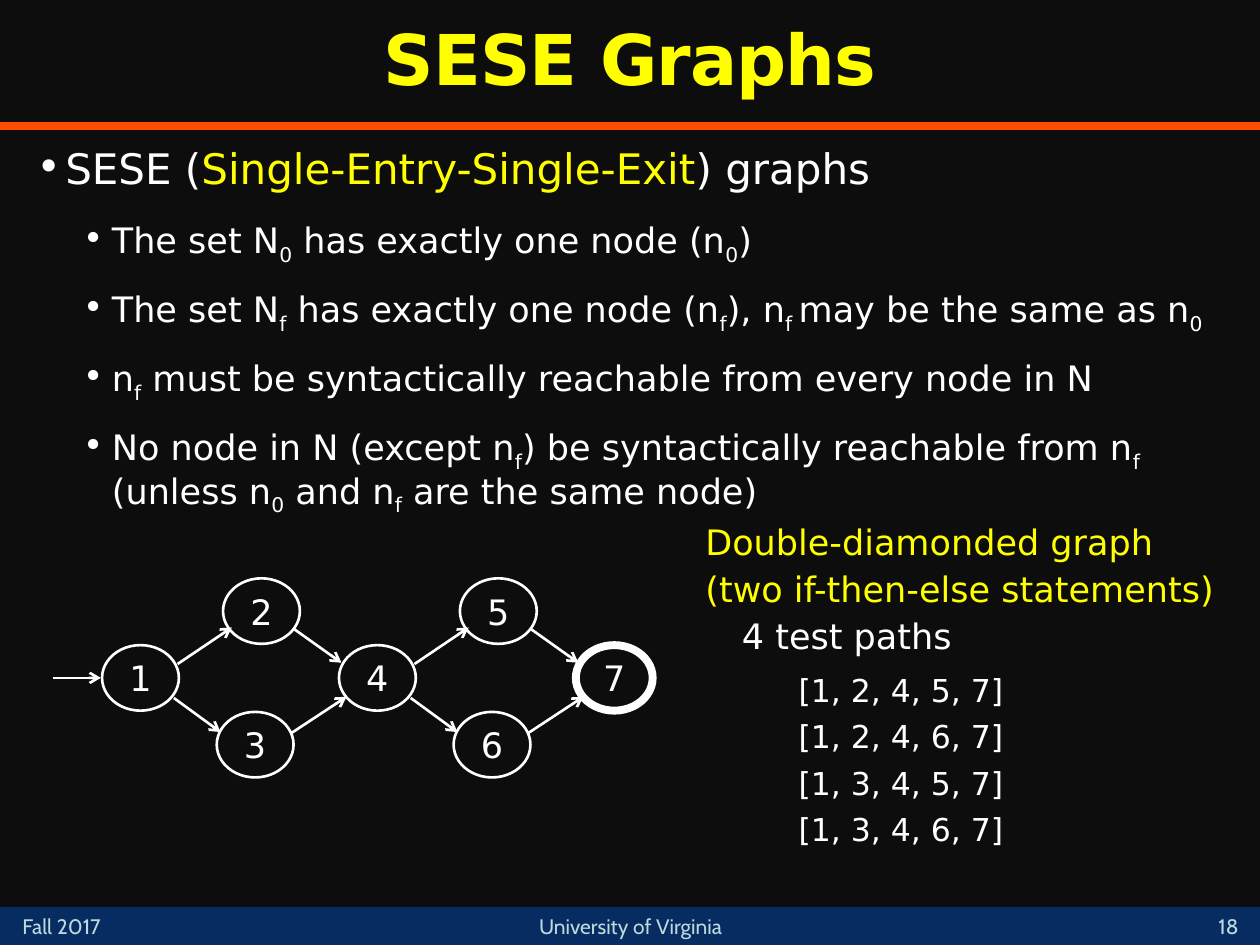
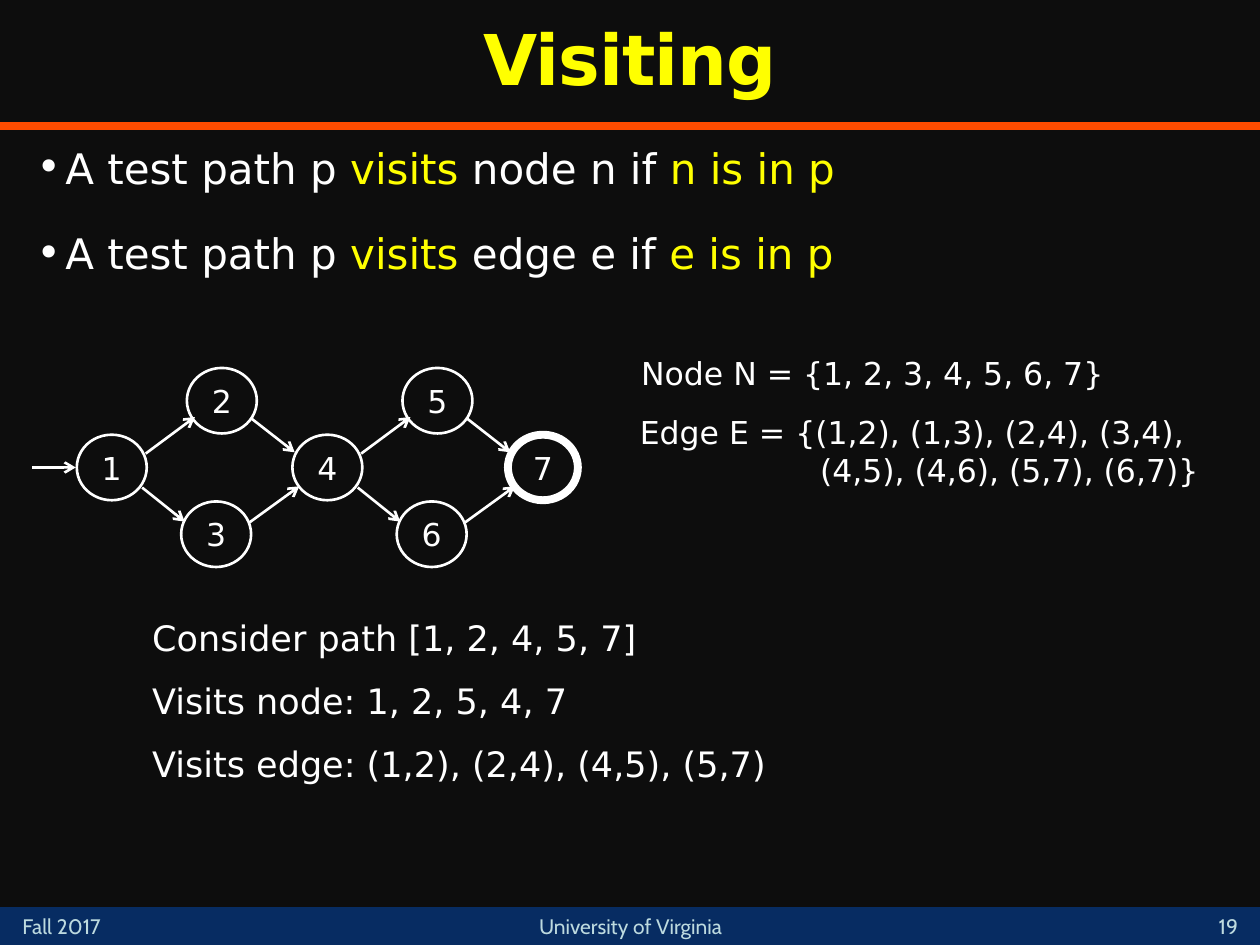
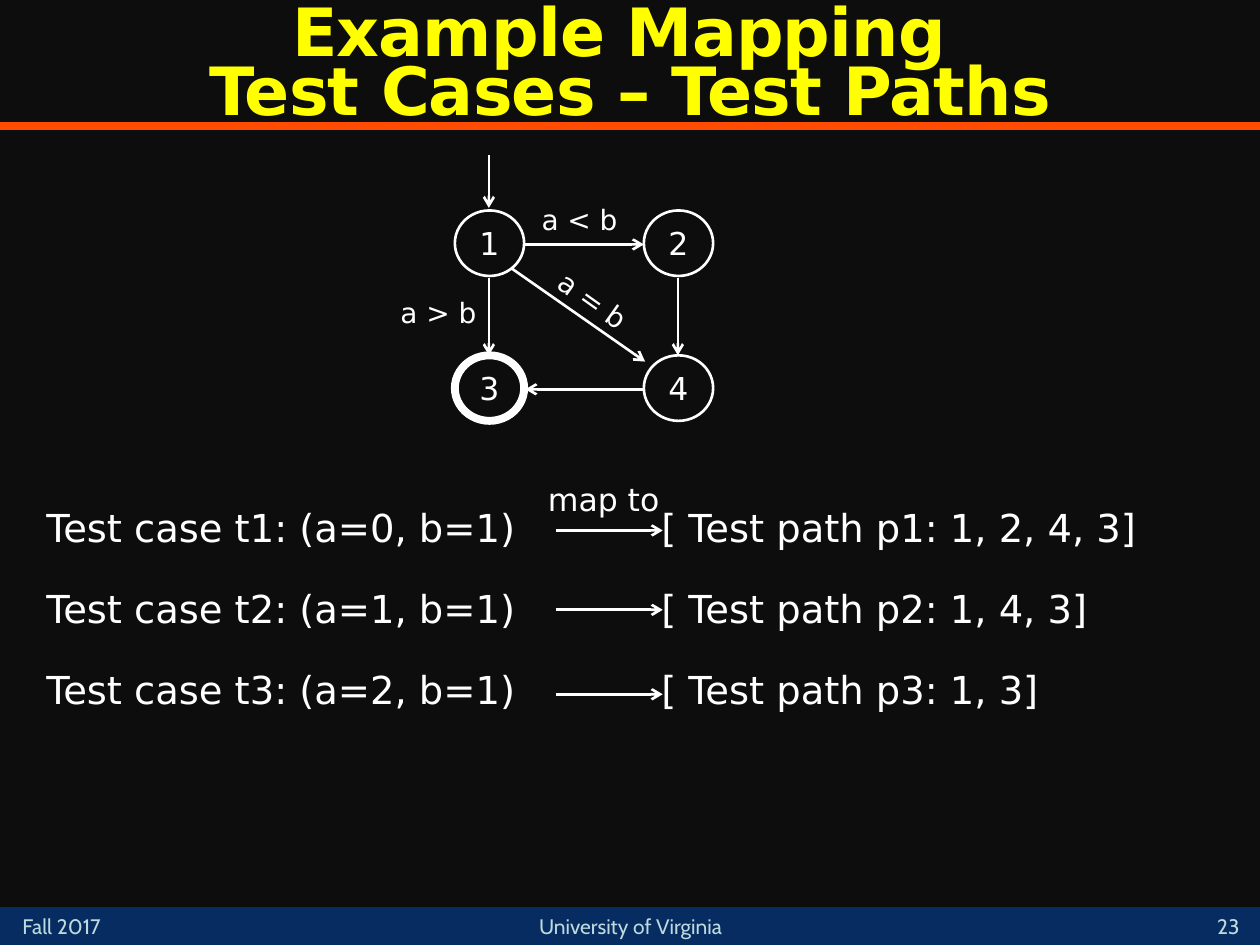
from dataclasses import dataclass

import pptx
import pptx.dml.color
import pptx.enum.shapes
import pptx.enum.text
import pptx.oxml
import pptx.oxml.ns
import pptx.util

Inches = pptx.util.Inches
Pt = pptx.util.Pt
Align = pptx.enum.text.PP_ALIGN
Anchor = pptx.enum.text.MSO_ANCHOR


@dataclass(frozen=True)
class Theme:
    background: str = "0D0D0D"
    band: str = "072C62"
    rule: str = "FF4C00"
    accent: str = "FFFF00"
    text: str = "FFFFFF"
    footer: str = "BDDADF"
    font: str = "DejaVu Sans"
    footer_font: str = "Cabin"
    title_size: float = 40
    long_title_size: float = 38
    body_size: float = 24
    case_size: float = 22
    sub_size: float = 20
    detail_size: float = 18
    label_size: float = 16
    footer_size: float = 12
    thin: float = 1.5
    thick: float = 4.5


THEME = Theme()


@dataclass(frozen=True)
class ParagraphStyle:
    """Sizes and spacing are points, indents are inches."""
    size: float
    left: float = 0
    hanging: float = 0
    before: float = 0
    after: float = 0
    spacing: float = 1
    level: int = 0
    bullet: bool = False
    color: str = THEME.text


BULLET = ParagraphStyle(THEME.body_size, 0.25, 0.23, before=20, bullet=True)
SUB_BULLET = ParagraphStyle(THEME.sub_size, 0.62, 0.23, before=15,
                            spacing=0.9, level=1, bullet=True)
CAPTION = ParagraphStyle(THEME.sub_size, 0.02, after=3, color=THEME.accent)
PATH_COUNT = ParagraphStyle(THEME.sub_size, 0.31, after=3)
PATH = ParagraphStyle(THEME.detail_size, 0.76, before=5, level=1)
SET = ParagraphStyle(THEME.detail_size, 0.08, before=12, level=1)
LONG_SET = ParagraphStyle(THEME.detail_size, 1.5, 1.43, before=12, level=1)
VISIT = ParagraphStyle(THEME.sub_size, 0.08, before=12, level=1)
CASE = ParagraphStyle(THEME.case_size, 0.02, before=20)


def rgb(value):
    return pptx.dml.color.RGBColor.from_string(value)


def drawing_element(tag, **attributes):
    element = pptx.oxml.parse_xml(f"<a:{tag} {pptx.oxml.ns.nsdecls('a')}/>")
    for name, value in attributes.items():
        element.set(name, value)
    return element


class Deck:
    def __init__(self, theme):
        self.theme = theme
        self.presentation = pptx.Presentation()
        self.presentation.slide_width = Inches(10)
        self.presentation.slide_height = Inches(7.5)
        self.slide = None

    # Slide frame: background, rule, footer and title
    def new_slide(self, title, number, size=None, spacing=0.9, top=0):
        theme = self.theme
        self.slide = self.presentation.slides.add_slide(
            self.presentation.slide_layouts[6])
        fill = self.slide.background.fill
        fill.solid()
        fill.fore_color.rgb = rgb(theme.background)
        band = self.shape("RECTANGLE", 0, 7.2, 10, 0.3)
        band.fill.solid()
        band.fill.fore_color.rgb = rgb(theme.band)
        band.line.fill.background()
        self.line((0, 1), (10, 1), theme.rule, theme.thick, arrow=False)
        footers = (
            ("Fall 2017", 0.08, 7.2, 1.17, 0.3, Align.LEFT, Anchor.TOP),
            (str(number), 9.5, 7.17, 0.5, 0.33, Align.CENTER, Anchor.BOTTOM),
            ("University of Virginia", 3.67, 7.2, 2.67, 0.3,
             Align.CENTER, Anchor.TOP))
        for text, left, top_edge, width, height, align, anchor in footers:
            frame = self.text_box(left, top_edge, width, height).text_frame
            frame.vertical_anchor = anchor
            self.plain_text(frame, text, theme.footer_size, align,
                            theme.footer, theme.footer_font)
        frame = self.text_box(0, top, 10, 1).text_frame
        frame.vertical_anchor = Anchor.MIDDLE
        self.plain_text(frame, title, size or theme.title_size,
                        Align.CENTER, theme.accent)
        paragraph = frame.paragraphs[0]
        paragraph.line_spacing = spacing
        for run in paragraph.runs:
            run.font.bold = True
            run.font._element.set("spc", "-50")

    # Basic elements
    def shape(self, kind, left, top, width, height):
        shape = self.slide.shapes.add_shape(
            getattr(pptx.enum.shapes.MSO_SHAPE, kind),
            Inches(left), Inches(top), Inches(width), Inches(height))
        shape.shadow.inherit = False
        return shape

    def line(self, start, end, color=None, weight=None, arrow=True):
        connector = self.slide.shapes.add_connector(
            pptx.enum.shapes.MSO_CONNECTOR.STRAIGHT,
            *(Inches(value) for value in (*start, *end)))
        connector.line.color.rgb = rgb(color or self.theme.text)
        connector.line.width = Pt(weight or self.theme.thin)
        properties = connector._element.spPr
        if arrow:
            outline = properties.find(pptx.oxml.ns.qn("a:ln"))
            outline.append(drawing_element("tailEnd", type="arrow"))
        properties.append(drawing_element("effectLst"))

    def text_box(self, left, top, width, height):
        box = self.slide.shapes.add_textbox(
            Inches(left), Inches(top), Inches(width), Inches(height))
        box.text_frame.word_wrap = True
        return box

    # Text
    def format_run(self, run, size, color, font=None):
        run.font.size = Pt(size)
        run.font.name = font or self.theme.font
        run.font.color.rgb = rgb(color)

    def plain_text(self, frame, text, size, align, color=None, font=None):
        frame.text = text
        paragraph = frame.paragraphs[0]
        paragraph.alignment = align
        for run in paragraph.runs:
            self.format_run(run, size, color or self.theme.text, font)

    def rich_text(self, paragraph, text, style):
        """Text between * takes the accent colour, between ~ is subscript."""
        for i, part in enumerate(text.split("*")):
            color = self.theme.accent if i % 2 else style.color
            for j, piece in enumerate(part.split("~")):
                if piece:
                    run = paragraph.add_run()
                    run.text = piece
                    self.format_run(run, style.size, color)
                    if j % 2:
                        run.font._element.set("baseline", "-25000")

    def paragraphs(self, left, top, width, height, items):
        frame = self.text_box(left, top, width, height).text_frame
        for index, (style, text) in enumerate(items):
            paragraph = frame.add_paragraph() if index else frame.paragraphs[0]
            self.rich_text(paragraph, text, style)
            paragraph.level = style.level
            paragraph.line_spacing = style.spacing
            paragraph.space_before = Pt(style.before)
            paragraph.space_after = Pt(style.after)
            properties = paragraph._p.get_or_add_pPr()
            properties.set("marL", str(Inches(style.left)))
            properties.set("indent", str(-Inches(style.hanging)))
            if style.bullet:
                properties.append(
                    drawing_element("buFont", typeface=self.theme.font))
                properties.append(drawing_element("buChar", char="\u2022"))

    def label(self, text, left, top, width, height, size, rotation=0):
        box = self.text_box(left, top, width, height)
        box.text_frame.word_wrap = False
        box.rotation = rotation
        self.plain_text(box.text_frame, text, size, Align.LEFT)

    # Graphs
    def node(self, text, left, top, size, width=0.55, final=False):
        node = self.shape("OVAL", left, top, width, 0.52)
        node.fill.background()
        node.line.color.rgb = rgb(self.theme.text)
        node.line.width = Pt(self.theme.thick if final else self.theme.thin)
        frame = node.text_frame
        frame.margin_left = frame.margin_right = 0
        frame.margin_top = frame.margin_bottom = 0
        frame.word_wrap = False
        frame.vertical_anchor = Anchor.MIDDLE
        self.plain_text(frame, text, size, Align.CENTER)

    def double_diamond(self, left, top, size, scale=1):
        """Two diamonds in a row; scale changes the horizontal lengths."""
        step, rise = 1.88, 0.53
        upper, lower = 0.96, 0.91
        edges = (((0.6, 0.15), (1.03, -0.14)), ((0.57, 0.42), (0.94, 0.69)),
                 ((1.52, -0.13), (1.9, 0.14)), ((1.5, 0.7), (1.94, 0.41)))

        def point(x, y):
            return left + x * scale, top + y

        for first in (1, 4):
            start = step * (first - 1) / 3
            for number, x, y in ((first, 0, 0), (first + 1, upper, -rise),
                                 (first + 2, lower, rise)):
                self.node(str(number), *point(start + x, y), size,
                          0.61 * scale)
            for (x1, y1), (x2, y2) in edges:
                self.line(point(start + x1, y1), point(start + x2, y2))
        self.node("7", *point(2 * step, 0), size, 0.61 * scale, final=True)
        self.line(point(-0.39, 0.26), point(-0.01, 0.26))


deck = Deck(THEME)

# SESE graphs
deck.new_slide("SESE Graphs", 18)
deck.paragraphs(0.17, 1.08, 9.67, 5.83, (
    (BULLET, "SESE (*Single-Entry-Single-Exit*) graphs"),
    (SUB_BULLET, "The set N~0~ has exactly one node (n~0~)"),
    (SUB_BULLET, "The set N~f~ has exactly one node (n~f~), "
                 "n~f ~may be the same as n~0~"),
    (SUB_BULLET, "n~f~ must be syntactically reachable from every node in N"),
    (SUB_BULLET, "No node in N (except n~f~) be syntactically reachable from "
                 "n~f~ (unless n~0~ and n~f~ are the same node)")))
deck.double_diamond(0.81, 5.12, THEME.sub_size)
deck.paragraphs(5.48, 4.08, 4.44, 2.83, (
    (CAPTION, "Double-diamonded graph"),
    (CAPTION, "(two if-then-else statements)"),
    (PATH_COUNT, "4 test paths"),
    *((PATH, f"[1, {a}, 4, {b}, 7]") for a in (2, 3) for b in (5, 6))))

# Visiting
deck.new_slide("Visiting", 19)
deck.paragraphs(0.17, 1.08, 9.67, 1.92, [
    (BULLET, f"A test path p *visits* {kind} {name} if *{name} is in p*")
    for kind, name in (("node", "n"), ("edge", "e"))])
deck.paragraphs(4.91, 2.76, 5.01, 1.91, (
    (SET, "Node N = {1, 2, 3, 4, 5, 6, 7}"),
    (LONG_SET, "Edge E = {(1,2), (1,3), (2,4), (3,4), "
               "(4,5), (4,6), (5,7), (6,7)}")))
deck.double_diamond(0.61, 3.45, THEME.detail_size, scale=0.91)
deck.paragraphs(1.03, 4.84, 7.97, 1.58, (
    (VISIT, "Consider path [1, 2, 4, 5, 7]"),
    (VISIT, "Visits node: 1, 2, 5, 4, 7"),
    (VISIT, "Visits edge: (1,2), (2,4), (4,5), (5,7)")))

# Example mapping: graph
deck.new_slide("Example Mapping \vTest Cases \u2013 Test Paths", 23,
               THEME.long_title_size, spacing=0.75, top=0.04)
for index in range(4):
    row, column = divmod(index, 2)
    deck.node(str(index + 1), 3.61 + 1.5 * column, 1.67 + 1.15 * row,
              THEME.detail_size, final=index == 2)
for start, end in (((3.88, 1.23), (3.88, 1.65)), ((4.17, 1.94), (5.11, 1.94)),
                   ((5.11, 3.09), (4.17, 3.09)), ((4.06, 2.13), (5.12, 2.87)),
                   ((3.88, 2.21), (3.88, 2.82)), ((5.38, 2.21), (5.38, 2.82))):
    deck.line(start, end)
for text, left, top, rotation in (("a < b", 4.2, 1.56, 0),
                                  ("a > b", 3.08, 2.3, 0),
                                  ("a = b", 4.3, 2.21, 35.4)):
    deck.label(text, left, top, 0.84, 0.37, THEME.label_size, rotation)

# Example mapping: test cases on the left, their paths on the right
deck.paragraphs(0.25, 3.95, 4.16, 2.38, [
    (CASE, f"Test case t{index + 1}: (a={index}, b=1)")
    for index in range(3)])
deck.paragraphs(5.13, 3.95, 4.62, 2.38, [
    (CASE, f"[ Test path p{index + 1}: {path}]")
    for index, path in enumerate(("1, 2, 4, 3", "1, 4, 3", "1, 3"))])
for y in (4.21, 4.84, 5.51):
    deck.line((4.41, y), (5.26, y))
deck.label("map to", 4.25, 3.76, 1.1, 0.4, THEME.detail_size)

deck.presentation.save("out.pptx")
